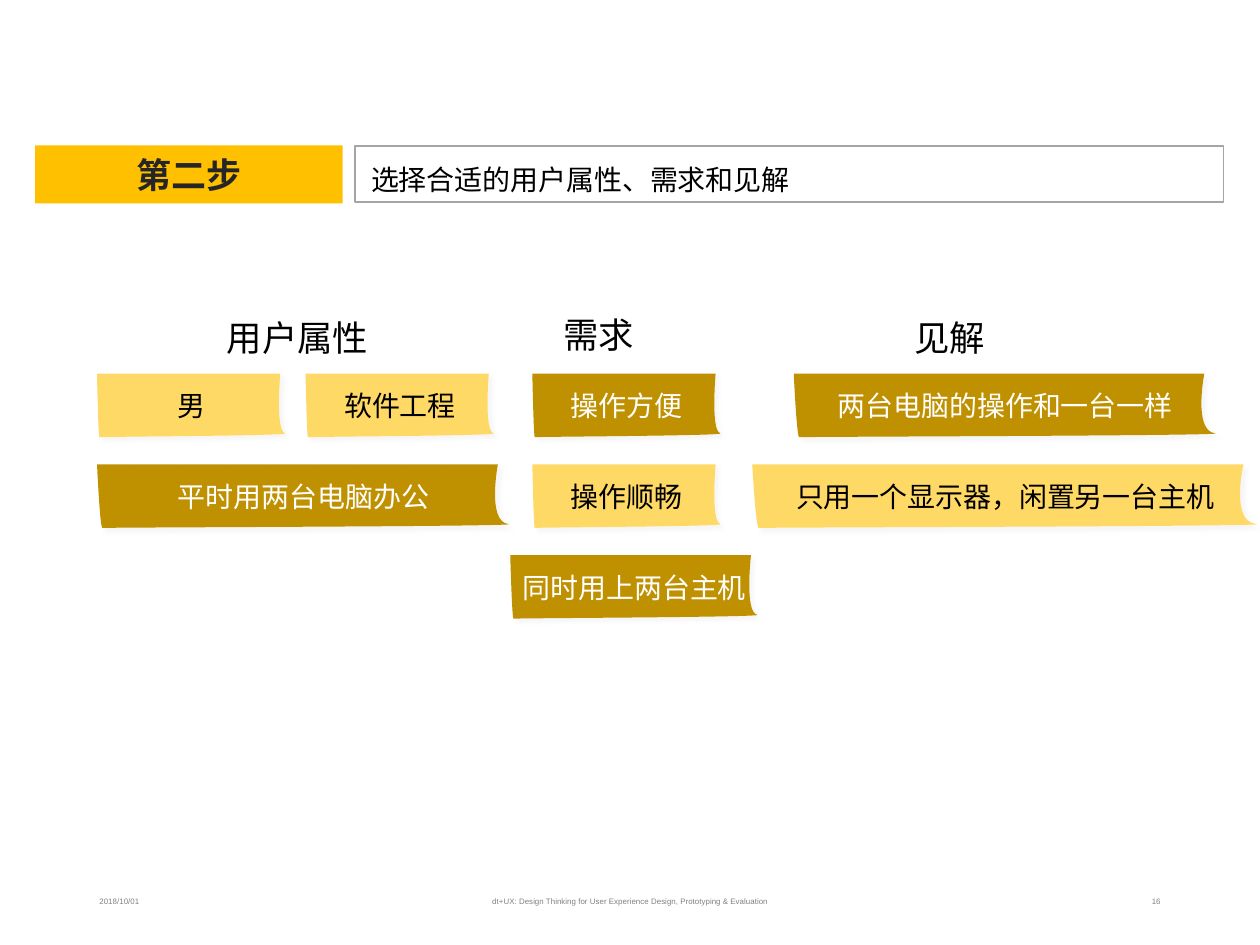
from lxml import etree
from pptx import Presentation
from pptx import util as u
from pptx.dml.color import RGBColor
from pptx.enum import shapes, text
from pptx.oxml import ns

presentation = Presentation()
presentation.slide_width = u.Inches(10)
presentation.slide_height = u.Inches(7.5)
column = presentation.slide_width / 100
row = presentation.slide_height / 75
slide = presentation.slides.add_slide(presentation.slide_layouts[6])

LEFT, CENTER, RIGHT = text.PP_ALIGN.LEFT, text.PP_ALIGN.CENTER, text.PP_ALIGN.RIGHT
TOP, MIDDLE = text.MSO_ANCHOR.TOP, text.MSO_ANCHOR.MIDDLE
GOLD, PALE, BLACK, WHITE = "BF9000", "FFD966", "000000", "FFFFFF"


def rgb(value):
    return RGBColor.from_string(value)


def write(shape, words, size, color, align=LEFT, anchor=MIDDLE, margins=(0, 0),
          font="Arial", bold=False, spacing=1.0):
    frame = shape.text_frame
    frame.word_wrap = True
    frame.vertical_anchor = anchor
    frame.margin_left = frame.margin_right = u.Inches(margins[0])
    frame.margin_top = frame.margin_bottom = u.Inches(margins[1])
    paragraph = frame.paragraphs[0]
    paragraph.alignment = align
    paragraph.line_spacing = spacing
    run = paragraph.add_run()
    run.text = words
    run.font.name = font
    run.font.size = u.Pt(size)
    run.font.bold = bold
    run.font.color.rgb = rgb(color)


for x, y, width, words in [
    (18, 25.1, 12.2, "用户属性"),
    (44.7, 24.85, 8.9, "需求"),
    (72.6, 25.1, 11.4, "见解"),
]:
    heading = slide.shapes.add_textbox(
        int(x * column), int(y * row), int(width * column), int(3.4 * row))
    write(heading, words, 20.2, BLACK, anchor=TOP, font="League Spartan")
    heading.text_frame.auto_size = text.MSO_AUTO_SIZE.SHAPE_TO_FIT_TEXT

for x, width, align, words in [
    (6.9, 22.5, LEFT, "2018/10/01"),
    (33.1, 33.8, CENTER,
     "dt+UX: Design Thinking for User Experience Design, Prototyping & Evaluation"),
    (70.6, 22.5, RIGHT, "16"),
]:
    footer = slide.shapes.add_textbox(
        int(x * column), int(69.5 * row), int(width * column), int(4 * row))
    write(footer, words, 4.5, "808080", align, margins=(0.1, 0.05), spacing=1.2)

step = slide.shapes.add_shape(
    shapes.MSO_SHAPE.RECTANGLE,
    int(2.8 * column), int(11.55 * row), int(24.4 * column), int(4.6 * row))
step.shadow.inherit = False
step.fill.solid()
step.fill.fore_color.rgb = rgb("FFC000")
step.line.fill.background()

task_frame = slide.shapes.add_shape(
    shapes.MSO_SHAPE.RECTANGLE,
    int(28.2 * column), int(11.57 * row), int(68.9 * column), int(4.46 * row))
task_frame.shadow.inherit = False
task_frame.fill.background()
task_frame.line.color.rgb = rgb("A5A5A5")
task_frame.line.width = u.Pt(1)

task = slide.shapes.add_textbox(
    int(28.75 * column), int(12.3 * row), int(67.8 * column), int(3.1 * row))
write(task, "选择合适的用户属性、需求和见解", 16, BLACK, margins=(0.07, 0.04), spacing=1.3)

step_label = slide.shapes.add_textbox(
    int(2.8 * column), int(11.55 * row), int(24.4 * column), int(4.6 * row))
write(step_label, "第二步", 20, "262626", CENTER, margins=(0.07, 0.04), bold=True)

torn_edge = [
    ("moveTo", [(0, 0)]),
    ("lnTo", [(970, 0)]),
    ("cubicBezTo", [(970, 0), (943, 900), (995, 938)]),
    ("cubicBezTo", [(1048, 978), (20, 990), (13, 1000)]),
    ("cubicBezTo", [(7, 1000), (0, 0), (0, 0)]),
    ("close", []),
]

first_row, row_pitch, note_height = 29.65, 7.2, 5.05
for x, line, width, fill, color, words in [
    (7.7, 0, 15, PALE, BLACK, "男"),
    (24.25, 0, 15, PALE, BLACK, "软件工程"),
    (7.7, 1, 32.8, GOLD, WHITE, "平时用两台电脑办公"),
    (42.25, 0, 15, GOLD, WHITE, "操作方便"),
    (42.25, 1, 15, PALE, BLACK, "操作顺畅"),
    (63, 0, 33.6, GOLD, WHITE, "两台电脑的操作和一台一样"),
    (59.7, 1, 40.2, PALE, BLACK, "只用一个显示器，闲置另一台主机"),
    (40.5, 2, 19.7, GOLD, WHITE, "同时用上两台主机"),
]:
    y = first_row + line * row_pitch
    left, top = int(x * column), int(y * row)
    right, bottom = int((x + width) * column), int((y + note_height) * row)
    builder = slide.shapes.build_freeform(left, top)
    builder.add_line_segments([(right, top), (right, bottom), (left, bottom)])
    note = builder.convert_to_shape()

    outline = note._element.spPr.find(".//" + ns.qn("a:path"))
    for segment in list(outline):
        outline.remove(segment)
    outline.set("w", "1000")
    outline.set("h", "1000")
    for kind, points in torn_edge:
        segment = etree.SubElement(outline, ns.qn("a:" + kind))
        for across, down in points:
            etree.SubElement(segment, ns.qn("a:pt"), x=str(across), y=str(down))

    note.shadow.inherit = False
    note.fill.solid()
    note.fill.fore_color.rgb = rgb(fill)
    note.line.fill.background()
    effects = note._element.spPr.find(ns.qn("a:effectLst"))
    shadow = etree.SubElement(
        effects, ns.qn("a:outerShdw"), blurRad=str(u.Pt(2)), dist=str(u.Pt(3)),
        dir=str(45 * 60000), algn="tl", rotWithShape="0")
    shade = etree.SubElement(shadow, ns.qn("a:srgbClr"), val="E7E6E6")
    etree.SubElement(shade, ns.qn("a:alpha"), val="33000")
    write(note, words, 16, color, CENTER)

presentation.save("out.pptx")
